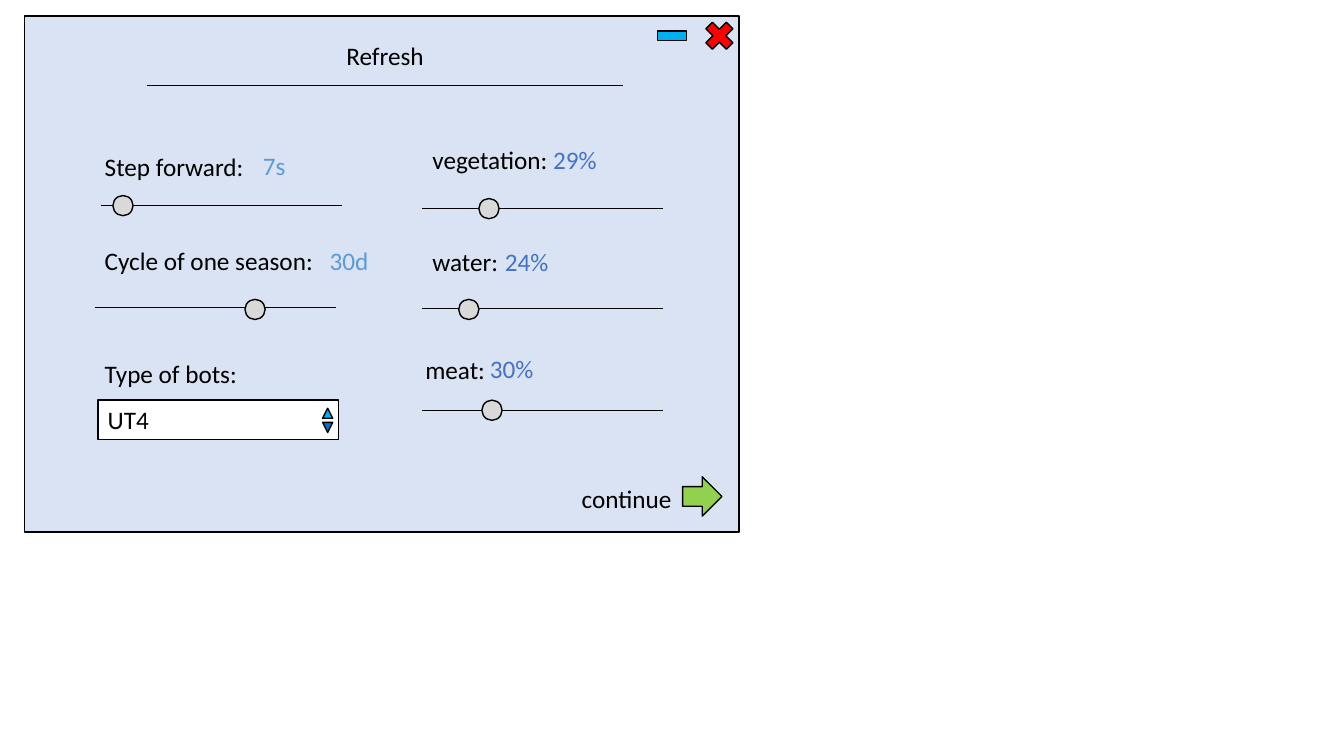
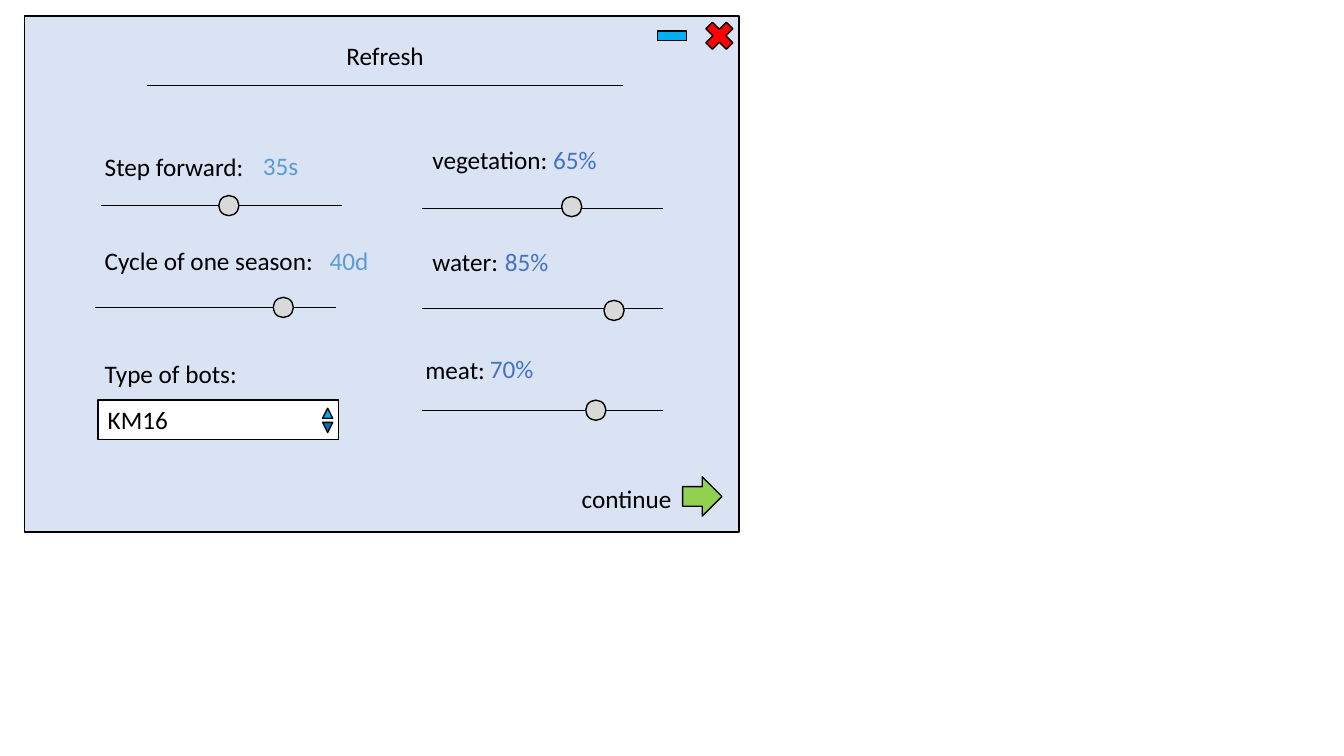
"""Build two states of a simulation settings window."""
from collections import namedtuple

from pptx import Presentation
from pptx.dml.color import RGBColor
from pptx.enum.shapes import MSO_CONNECTOR, MSO_SHAPE
from pptx.enum.text import MSO_ANCHOR, MSO_AUTO_SIZE, PP_ALIGN
from pptx.oxml.ns import qn
from pptx.util import Emu, Pt
from lxml.etree import SubElement

EMU_PER_PX = 9144
FONT, SIZE = "Calibri", 18
BLACK, WHITE = "000000", "FFFFFF"
PANEL, KNOB = "DAE3F3", "D9D9D9"
RED, GREEN = "FF0000", "92D050"
SKY, BLUE = "00B0F0", "0070C0"
TIME_BLUE, SHARE_BLUE = "5B9BD5", "4472C4"
TEXT_W, TEXT_H = 239, 40
TRACK_W, KNOB_D, ICON = 239, 20, 39

Slider = namedtuple("Slider", "label label_at value_box color track_at")
SLIDERS = [
    Slider("Step forward:", (94, 145), (251, 144, 56), TIME_BLUE, (100, 204)),
    Slider("Cycle of one season:", (94, 238), (317, 238, 79), TIME_BLUE, (94, 305)),
    Slider("vegetation:", (419, 138), None, SHARE_BLUE, (419, 207)),
    Slider("water:", (419, 239), (491, 239, 79), SHARE_BLUE, (419, 306)),
    Slider("meat:", (412, 347), (476, 346, 69), SHARE_BLUE, (419, 407)),
]

SCREENS = [
    ("UT4", [("7s", (112, 194)), ("30d", (243, 297)), ("29%", (475, 197)),
             ("24%", (455, 297)), ("30%", (478, 397))]),
    ("KM16", [("35s", (217, 194)), ("40d", (271, 295)), ("65%", (557, 195)),
              ("85%", (599, 298)), ("70%", (581, 397))]),
]


def px(n):
    """Turn pixels into EMU."""
    return Emu(n * EMU_PER_PX)


def rgb(color):
    """Turn a hex string into a colour."""
    return RGBColor.from_string(color)


def add_run(p, text, color=BLACK):
    """Add a run in the shared font."""
    r = p.add_run()
    r.text = text
    r.font.name = FONT
    r.font.size = Pt(SIZE)
    r.font.color.rgb = rgb(color)


def add_text(s, x, y, w, *runs, wrap=True, align=PP_ALIGN.LEFT):
    """Add a one-line text box made of (text, colour) runs."""
    tf = s.shapes.add_textbox(px(x), px(y), px(w), px(TEXT_H)).text_frame
    tf.word_wrap = wrap
    tf.auto_size = MSO_AUTO_SIZE.SHAPE_TO_FIT_TEXT
    p = tf.paragraphs[0]
    p.alignment = align
    for text, color in runs:
        add_run(p, text, color)


def add_shape(s, kind, x, y, w, h, fill):
    """Add a filled shape with a thin black outline."""
    sp = s.shapes.add_shape(kind, px(x), px(y), px(w), px(h))
    sp.shadow.inherit = False
    sp.fill.solid()
    sp.fill.fore_color.rgb = rgb(fill)
    sp.line.color.rgb = rgb(BLACK)
    sp.line.width = Pt(1)
    return sp


def add_rule(s, x, y, w):
    """Add a horizontal hairline."""
    line = s.shapes.add_connector(MSO_CONNECTOR.STRAIGHT, px(x), px(y), px(x + w), px(y))
    line.line.color.rgb = rgb(BLACK)
    line.line.width = Pt(0.5)
    SubElement(line._element.spPr, qn("a:effectLst"))


def add_slider(s, slider, value, knob_at):
    """Add a label, its value, a track and a knob."""
    label = (slider.label, BLACK)
    if slider.value_box:
        add_text(s, *slider.label_at, TEXT_W, label)
        add_text(s, *slider.value_box, (value, slider.color))
    else:
        add_text(s, *slider.label_at, TEXT_W, label, (" " + value, slider.color))
    add_rule(s, *slider.track_at, TRACK_W)
    add_shape(s, MSO_SHAPE.OVAL, *knob_at, KNOB_D, KNOB_D, KNOB)


def add_selector(s, choice):
    """Add the bot type field with its up and down arrows."""
    add_text(s, 94, 351, TEXT_W, ("Type of bots:", BLACK))
    field = add_shape(s, MSO_SHAPE.RECTANGLE, 97, 397, 239, 39, WHITE)
    tf = field.text_frame
    tf.vertical_anchor = MSO_ANCHOR.MIDDLE
    p = tf.paragraphs[0]
    p.alignment = PP_ALIGN.LEFT
    add_run(p, choice)
    for y, fill, angle in ((405, SKY, 0), (419, BLUE, 180)):
        arrow = add_shape(s, MSO_SHAPE.ISOSCELES_TRIANGLE, 320, y, 10, 10, fill)
        arrow.rotation = angle


def add_window(s):
    """Add the window panel, its buttons, title and continue arrow."""
    add_shape(s, MSO_SHAPE.RECTANGLE, 24, 16, 709, 512, PANEL)
    for kind, x, y, fill in (
        (MSO_SHAPE.MATH_MULTIPLY, 694, 16, RED),
        (MSO_SHAPE.MATH_MINUS, 647, 16, SKY),
        (MSO_SHAPE.RIGHT_ARROW, 677, 473, GREEN),
    ):
        add_shape(s, kind, x, y, ICON, ICON, fill)
    add_rule(s, 146, 85, 472)
    add_text(s, 333, 35, 98, ("Refresh", BLACK), wrap=False, align=PP_ALIGN.CENTER)
    add_text(s, 567, 475, 111, ("continue", BLACK), wrap=False)


def main():
    """Build and save the presentation."""
    prs = Presentation()
    prs.slide_width, prs.slide_height = px(1333), px(750)
    for choice, settings in SCREENS:
        s = prs.slides.add_slide(prs.slide_layouts[6])
        add_window(s)
        for slider, (value, knob_at) in zip(SLIDERS, settings):
            add_slider(s, slider, value, knob_at)
        add_selector(s, choice)
    prs.save("out.pptx")


if __name__ == "__main__":
    main()
